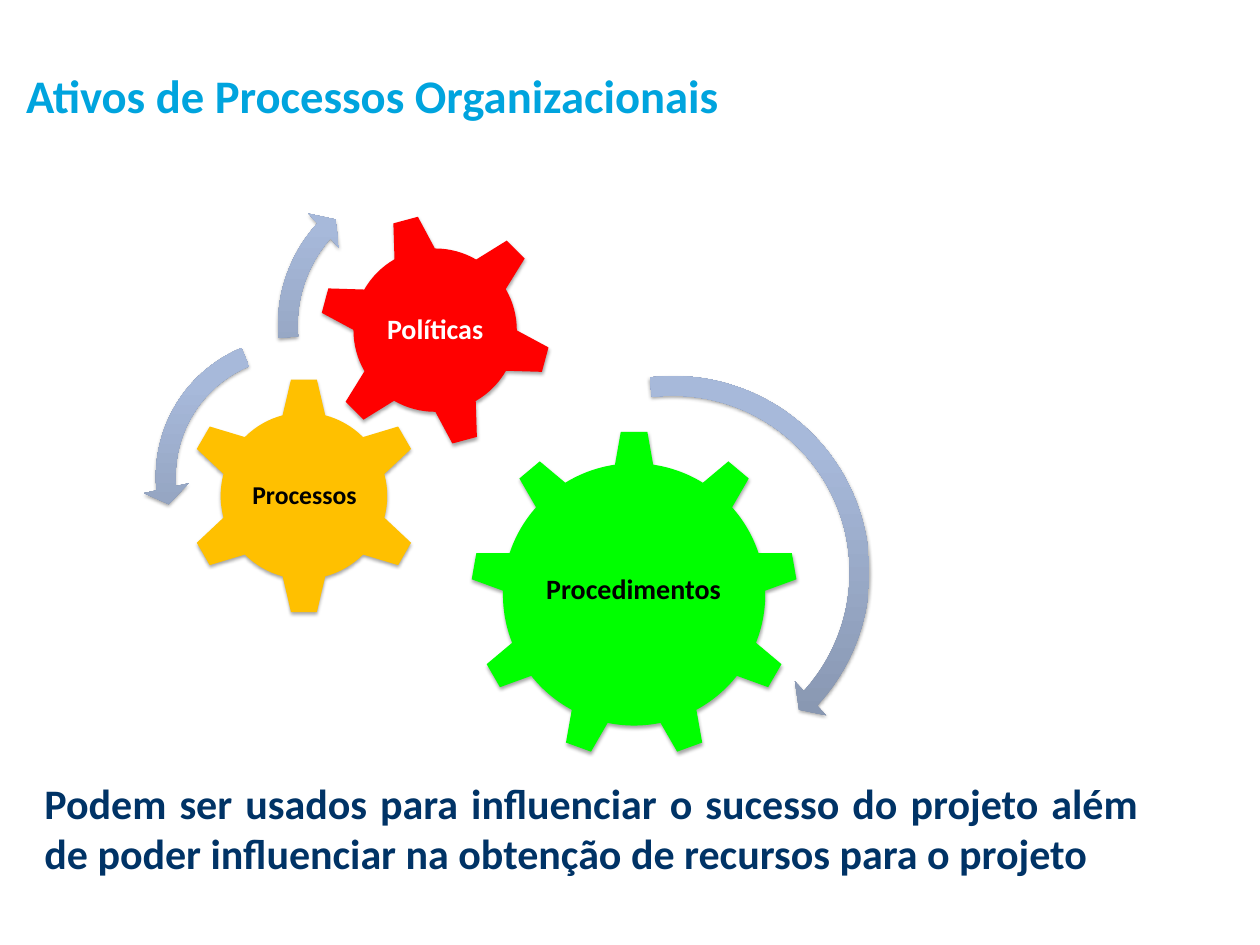
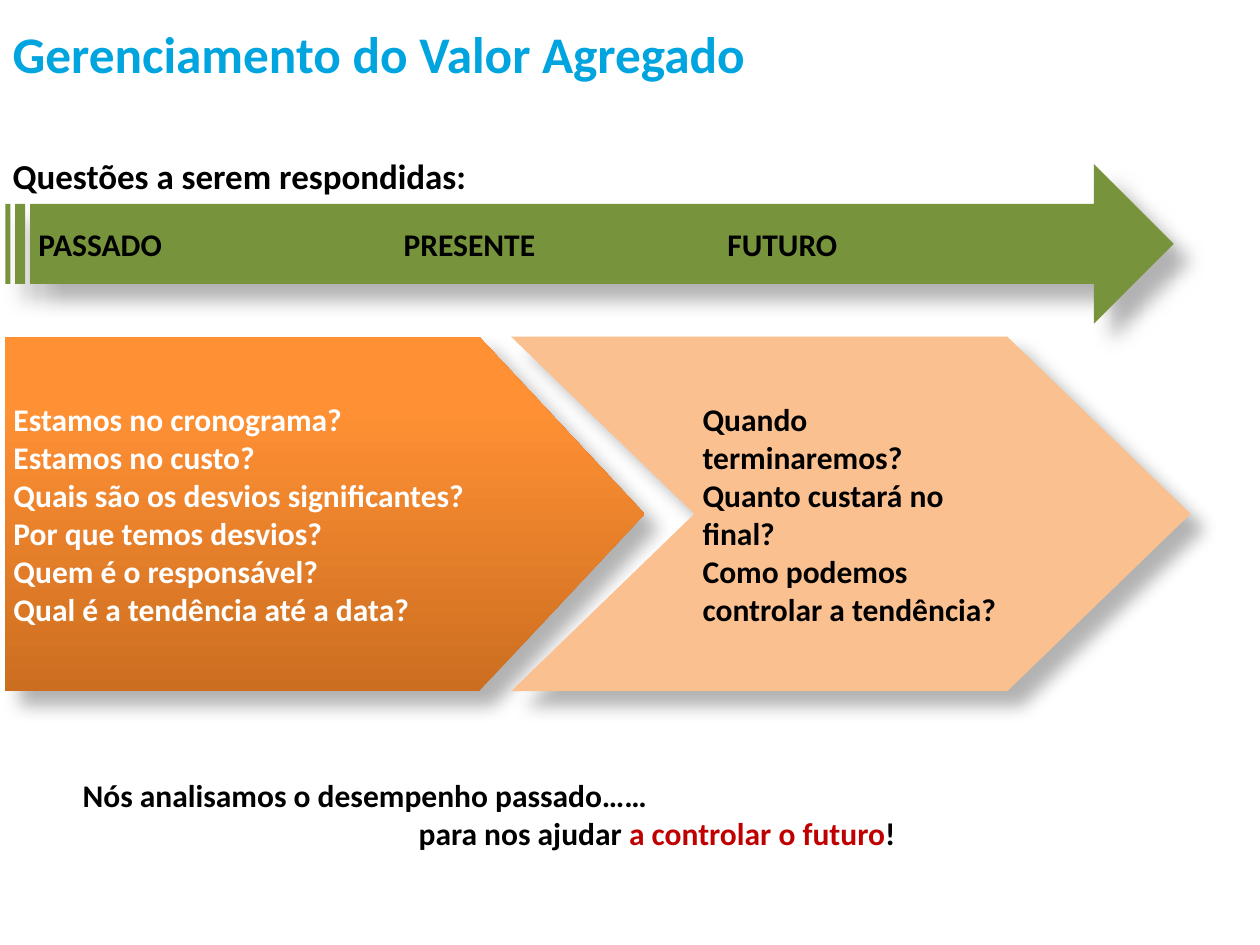
"""Build two project-management slides: organizational process assets and earned value."""
from dataclasses import dataclass

from lxml import etree
from pptx import Presentation
from pptx import util as u
from pptx.dml.color import RGBColor
from pptx.enum import shapes, text
from pptx.oxml.ns import qn

Pt = u.Pt
MSO = shapes.MSO_SHAPE
ALIGN = text.PP_ALIGN
ANCHOR = text.MSO_ANCHOR


@dataclass(frozen=True)
class Theme:
    font: str = "Calibri"
    title: str = "00A4DE"
    navy: str = "003366"
    black: str = "000000"
    white: str = "FFFFFF"
    highlight: str = "C00000"
    green: str = "00FF00"
    amber: str = "FFC000"
    red: str = "FF0000"
    olive: str = "77933C"
    peach: str = "FAC090"
    steel: tuple = ("818FA8", "A7B9DA")
    orange: tuple = ("CC6E20", "FF9034")
    soft_shadow: tuple = (35, 3.1, 1.8, 90)
    deep_shadow: tuple = (30, 15, 18, 45)
    question_size: int = 27
    lead_size: int = 30
    conclusion_size: int = 36


theme = Theme()


def add_figure(slide, kind, box, fill, shadow, adjustments=()):
    """Add a borderless preset shape with a solid or two-stop fill and a shadow."""
    figure = slide.shapes.add_shape(kind, *map(Pt, box))
    for index, value in enumerate(adjustments):
        figure.adjustments[index] = value
    if isinstance(fill, tuple):
        figure.fill.gradient()
        figure.fill.gradient_angle = 90
        for stop, color, position in zip(figure.fill.gradient_stops, fill, (0, 0.8)):
            stop.color.rgb = RGBColor.from_string(color)
            stop.position = position
    else:
        figure.fill.solid()
        figure.fill.fore_color.rgb = RGBColor.from_string(fill)
    figure.line.fill.background()
    figure.shadow.inherit = False
    opacity, blur, distance, angle = shadow
    effects = figure._element.spPr.find(qn("a:effectLst"))
    outer = etree.SubElement(effects, qn("a:outerShdw"), blurRad=str(Pt(blur)),
                             dist=str(Pt(distance)), dir=str(angle * 60000), rotWithShape="0")
    black = etree.SubElement(outer, qn("a:srgbClr"), val=theme.black)
    etree.SubElement(black, qn("a:alpha"), val=str(opacity * 1000))
    return figure


def write(frame, content, size, color, align=ALIGN.LEFT, anchor=ANCHOR.TOP,
          insets=(7.2, 3.6), tabs=()):
    """Fill a text frame with uniformly styled paragraphs."""
    frame.text = content
    frame.word_wrap = True
    frame.auto_size = text.MSO_AUTO_SIZE.NONE
    frame.vertical_anchor = anchor
    frame.margin_left = frame.margin_right = Pt(insets[0])
    frame.margin_top = frame.margin_bottom = Pt(insets[1])
    for paragraph in frame.paragraphs:
        paragraph.alignment = align
        if tabs:
            stops = etree.SubElement(paragraph._p.get_or_add_pPr(), qn("a:tabLst"))
            for position in tabs:
                etree.SubElement(stops, qn("a:tab"), pos=str(Pt(position)), algn="l")
        paragraph.font.name = theme.font
        paragraph.font.size = Pt(size)
        paragraph.font.bold = True
        paragraph.font.color.rgb = RGBColor.from_string(color)


deck = Presentation()
deck.slide_width, deck.slide_height = Pt(1080), Pt(810)

headings = [
    ("Ativos de Processos Organizacionais", (11.5, 43, 972, 77), 40, ANCHOR.MIDDLE),
    ("Gerenciamento do Valor Agregado", (0, 13.5, 784, 52), 44, ANCHOR.TOP),
]
for heading, box, size, anchor in headings:
    slide = deck.slides.add_slide(deck.slide_layouts[5])
    title = slide.shapes.title
    title.left, title.top, title.width, title.height = map(Pt, box)
    write(title.text_frame, heading, size, theme.title, anchor=anchor, insets=(10.8, 5.4))
assets, earned_value = deck.slides

gears = [
    ("Procedimentos", MSO.GEAR_9, (403, 369, 281, 281), 0, theme.green,
     (459, 434, 168, 144), 24, theme.black),
    ("Processos", MSO.GEAR_6, (158.5, 323, 204, 204), 0, theme.amber,
     (210, 375, 102, 101), 22, theme.black),
    ("Políticas", MSO.GEAR_6, (273, 183, 200, 200), 345, theme.red,
     (317, 227, 112, 112), 24, theme.white),
]
for name, kind, box, turn, color, label_box, size, label_color in gears:
    gear = add_figure(assets, kind, box, color, theme.soft_shadow)
    gear.rotation = turn
    label = assets.shapes.add_textbox(*map(Pt, label_box)).text_frame
    write(label, name, size, label_color, ALIGN.CENTER, ANCHOR.MIDDLE, (2, 2))
    label.paragraphs[0].line_spacing = 0.9

rotations = [
    (MSO.CIRCULAR_ARROW, 397.5, 311, 359, (0.047, 2.99, 25.528, 157.845, 0.055)),
    (MSO.LEFT_CIRCULAR_ARROW, 122.5, 278, 261, (0.065, 4.3, 104.891, 148.378, 0.075)),
    (MSO.CIRCULAR_ARROW, 227, 138, 281.5, (0.06, 3.941, 133.138, 105.082, 0.07)),
]
for kind, left, top, side, adjustments in rotations:
    add_figure(assets, kind, (left, top, side, side), theme.steel, theme.soft_shadow, adjustments)

influence = assets.shapes.add_textbox(Pt(31), Pt(663), Pt(952.5), Pt(94))
write(influence.text_frame,
      "Podem ser usados para influenciar o sucesso do projeto além de poder influenciar "
      "na obtenção de recursos para o projeto",
      theme.conclusion_size, theme.navy, ALIGN.JUSTIFY)

stages = [
    (MSO.PENTAGON, (4.5, 288.5, 548, 304), theme.orange, 0.467, theme.white,
     ["Estamos no cronograma?", "Estamos no custo?", "Quais são os desvios significantes?",
      "Por que temos desvios?", "Quem é o responsável?", "Qual é a tendência até a data?"]),
    (MSO.CHEVRON, (438, 288.5, 582.5, 304), theme.peach, 0.517, theme.black,
     ["Quando terminaremos?", "Quanto custará no final?",
      "Como podemos controlar a tendência?"]),
]
for kind, box, fill, point, color, questions in stages:
    stage = add_figure(earned_value, kind, box, fill, theme.deep_shadow, [point])
    write(stage.text_frame, "\n".join(questions), theme.question_size, color,
          anchor=ANCHOR.MIDDLE)

conclusion = earned_value.shapes.add_textbox(Pt(60), Pt(659.5), Pt(960), Pt(47)).text_frame
write(conclusion, "Nós analisamos o desempenho passado……\n\tpara nos ajudar ",
      theme.question_size, theme.black, insets=(10.8, 5.4), tabs=[288])
purpose = conclusion.paragraphs[1]
control = purpose.add_run()
control.text = "a controlar o futuro"
control.font.color.rgb = RGBColor.from_string(theme.highlight)
purpose.add_run().text = "!"

lead = earned_value.shapes.add_textbox(Pt(0), Pt(127), Pt(1006), Pt(83))
write(lead.text_frame, "Questões a serem respondidas:", theme.lead_size, theme.black,
      insets=(10.8, 5.4))

timeline = add_figure(earned_value, MSO.STRIPED_RIGHT_ARROW, (4.5, 140.5, 1001.5, 137),
                      theme.olive, theme.deep_shadow)
write(timeline.text_frame, "PASSADO\tPRESENTE\tFUTURO", theme.question_size, theme.black,
      anchor=ANCHOR.MIDDLE, tabs=[313, 590.5])

deck.save("out.pptx")
